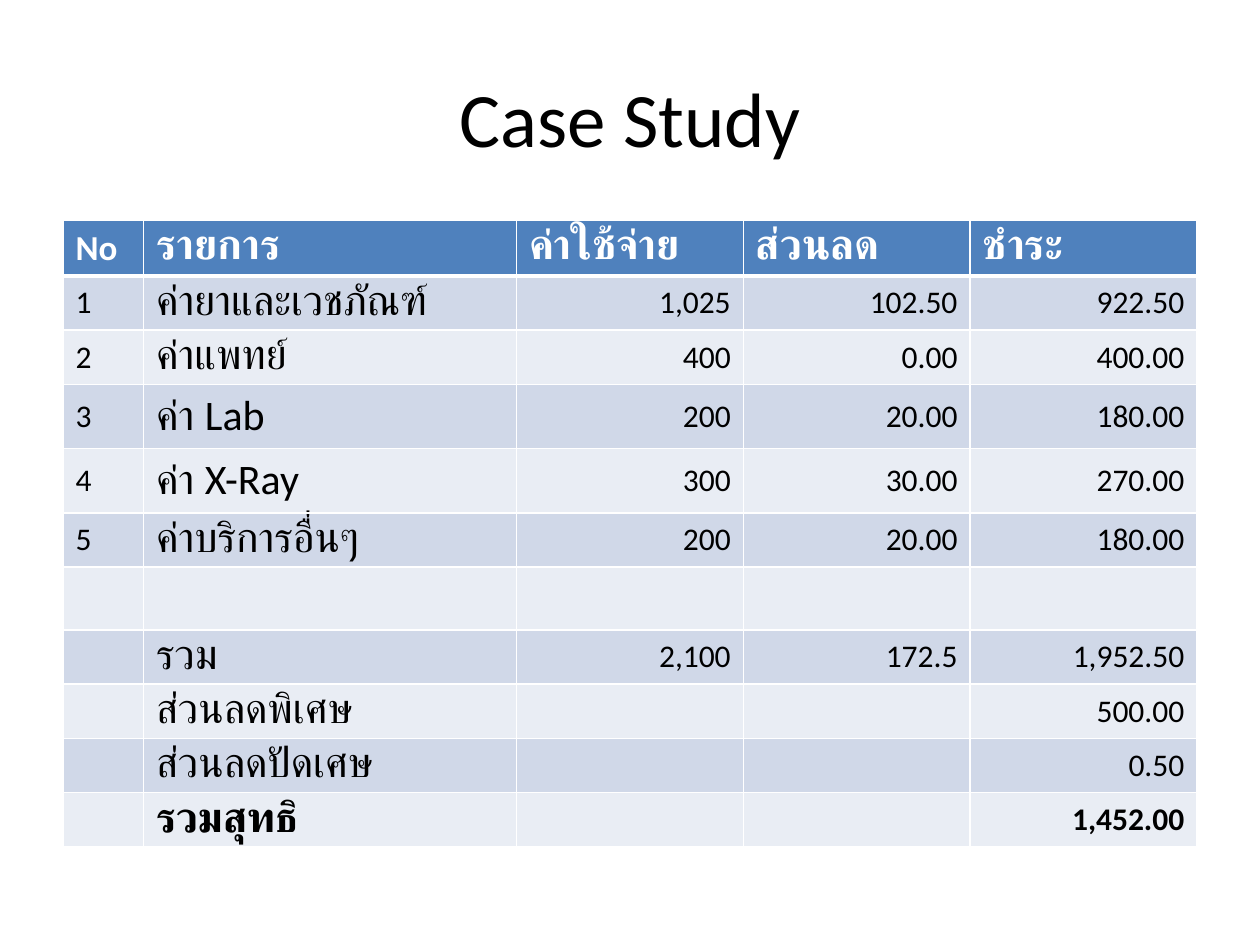
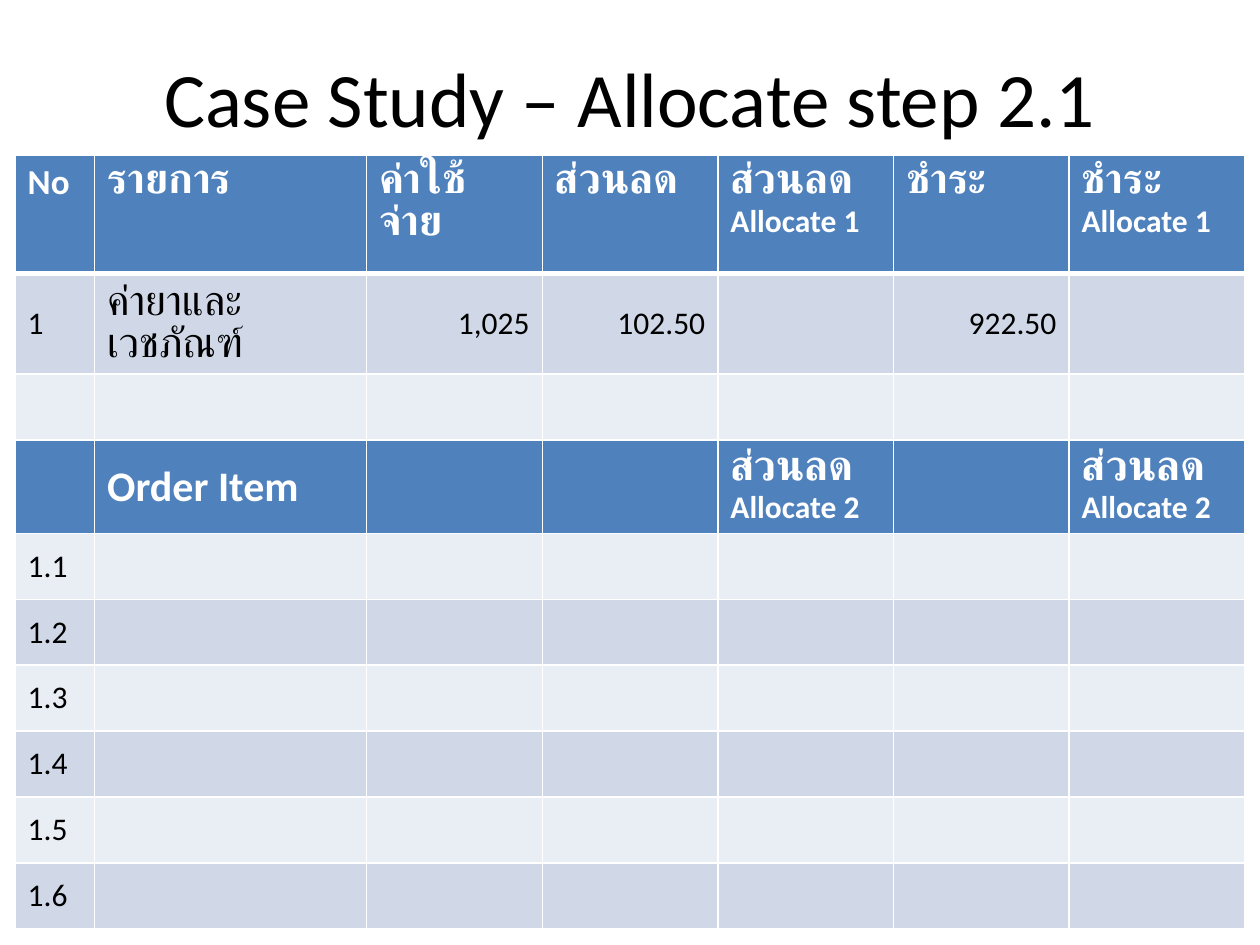
from dataclasses import dataclass

from lxml.etree import SubElement
from pptx import Presentation
from pptx.dml.color import RGBColor
from pptx.enum.lang import MSO_LANGUAGE_ID
from pptx.enum.text import MSO_ANCHOR, PP_ALIGN
from pptx.oxml.ns import qn
from pptx.presentation import Presentation as Deck
from pptx.slide import Slide
from pptx.table import _Cell as Cell
from pptx.text.text import Font
from pptx.util import Inches, Pt

FONT = "Calibri"
BLACK = RGBColor(0x00, 0x00, 0x00)
WHITE = RGBColor(0xFF, 0xFF, 0xFF)
HEADER_BLUE = RGBColor(0x4F, 0x81, 0xBD)
BAND_DARK = RGBColor(0xD0, 0xD8, 0xE8)
BAND_LIGHT = RGBColor(0xE9, 0xED, 0xF4)
THIN, THICK = Pt(1), Pt(3)


@dataclass(frozen=True)
class TableRow:
    """One table row: its texts, height in inches and emphasis."""

    texts: tuple[str, ...]
    height: float
    header: bool = False
    bold: bool = False


@dataclass(frozen=True)
class TablePage:
    """A titled page with one table; lengths are in inches."""

    title: str
    title_height: float
    left: float
    top: float
    widths: tuple[float, ...]
    rows: tuple[TableRow, ...]


EXPENSE_HEIGHT = 0.43
MIXED_HEIGHT = 0.51
EXPENSES = TablePage(
    title="Case Study",
    title_height=1.25,
    left=0.5,
    top=1.75,
    widths=(0.64, 2.96) + (1.8,) * 3,
    rows=(
        TableRow(("No", "รายการ", "ค่าใช้จ่าย", "ส่วนลด", "ชำระ"), EXPENSE_HEIGHT, header=True),
        TableRow(("1", "ค่ายาและเวชภัณฑ์", "1,025", "102.50", "922.50"), EXPENSE_HEIGHT),
        TableRow(("2", "ค่าแพทย์", "400", "0.00", "400.00"), EXPENSE_HEIGHT),
        TableRow(("3", "ค่า Lab", "200", "20.00", "180.00"), MIXED_HEIGHT),
        TableRow(("4", "ค่า X-Ray", "300", "30.00", "270.00"), MIXED_HEIGHT),
        TableRow(("5", "ค่าบริการอื่นๆ", "200", "20.00", "180.00"), EXPENSE_HEIGHT),
        TableRow(("",) * 5, 0.5),
        TableRow(("", "รวม", "2,100", "172.5", "1,952.50"), EXPENSE_HEIGHT),
        TableRow(("", "ส่วนลดพิเศษ", "", "", "500.00"), EXPENSE_HEIGHT),
        TableRow(("", "ส่วนลดปัดเศษ", "", "", "0.50"), EXPENSE_HEIGHT),
        TableRow(("", "รวมสุทธิ", "", "", "1,452.00"), EXPENSE_HEIGHT, bold=True),
    ),
)

ITEM_HEIGHT = 3.14 / 6
ALLOCATION = TablePage(
    title="Case Study – Allocate step 2.1",
    title_height=0.93,
    left=0.12,
    top=1.23,
    widths=(0.63, 2.16) + (6.97 / 5,) * 5,
    rows=(
        TableRow(
            ("No", "รายการ", "ค่าใช้จ่าย", "ส่วนลด", "ส่วนลด\nAllocate 1", "ชำระ", "ชำระ\nAllocate 1"),
            0.94,
            header=True,
        ),
        TableRow(("1", "ค่ายาและเวชภัณฑ์", "1,025", "102.50", "", "922.50", ""), 0.76),
        TableRow(("",) * 7, ITEM_HEIGHT),
        TableRow(
            ("", "Order Item", "", "", "ส่วนลด\nAllocate 2", "", "ส่วนลด\nAllocate 2"),
            0.74,
            header=True,
        ),
        *(TableRow((f"1.{item}",) + ("",) * 6, ITEM_HEIGHT) for item in range(1, 7)),
    ),
)


def style_font(font: Font, size: int, color: RGBColor, bold: bool = False) -> None:
    """Apply the deck's typeface with a size, colour and weight."""
    font.name = FONT
    font.size = Pt(size)
    font.color.rgb = color
    font.bold = bold


def has_thai(text: str) -> bool:
    """Tell whether a text holds Thai letters."""
    return any("ก" <= letter <= "๛" for letter in text)


def text_size(text: str) -> int:
    """Return the point size for a line of table text."""
    if text == "No":
        return 20
    return 18 if text[0].isdigit() or text.startswith("Allocate") else 24


def set_borders(cell: Cell, top: int, bottom: int) -> None:
    """Draw white borders with the given top and bottom widths."""
    properties = cell._tc.get_or_add_tcPr()
    for side, width in (("L", THIN), ("R", THIN), ("T", top), ("B", bottom)):
        line = SubElement(properties, qn(f"a:ln{side}"), w=str(width))
        fill = SubElement(line, qn("a:solidFill"))
        SubElement(fill, qn("a:srgbClr"), val=str(WHITE))


def fill_cell(cell: Cell, text: str, row: TableRow, row_index: int, column_index: int) -> None:
    """Write and format one table cell."""
    set_borders(cell, THICK if row_index == 1 else THIN, THICK if row_index == 0 else THIN)
    band = BAND_DARK if row_index % 2 else BAND_LIGHT
    cell.fill.solid()
    cell.fill.fore_color.rgb = HEADER_BLUE if row.header else band
    cell.vertical_anchor = MSO_ANCHOR.MIDDLE if row_index else MSO_ANCHOR.TOP
    if has_thai(text):
        cell.margin_top = Inches(0 if row_index else 0.04)
        cell.margin_bottom = 0
    cell.text_frame.text = text
    for para in cell.text_frame.paragraphs:
        if column_index > 1 and not row.header:
            para.alignment = PP_ALIGN.RIGHT
        for span in para.runs:
            color = WHITE if row.header else BLACK
            style_font(span.font, text_size(span.text), color, row.header or row.bold)
            if has_thai(span.text):
                span.font.language_id = MSO_LANGUAGE_ID.THAI


def add_title(page: Slide, text: str, height: float) -> None:
    """Add the centred page title."""
    box = page.shapes.add_textbox(Inches(0.5), Inches(0.3), Inches(9), Inches(height))
    frame = box.text_frame
    frame.word_wrap = True
    frame.vertical_anchor = MSO_ANCHOR.MIDDLE
    frame.text = text
    para = frame.paragraphs[0]
    para.alignment = PP_ALIGN.CENTER
    style_font(para.runs[0].font, 44, BLACK)


def add_page(deck: Deck, content: TablePage) -> None:
    """Add a page with its title and table."""
    page = deck.slides.add_slide(deck.slide_layouts[6])
    add_title(page, content.title, content.title_height)
    table = page.shapes.add_table(
        len(content.rows),
        len(content.widths),
        Inches(content.left),
        Inches(content.top),
        Inches(sum(content.widths)),
        Inches(sum(row.height for row in content.rows)),
    ).table
    for column, width in zip(table.columns, content.widths):
        column.width = Inches(width)
    for row_index, row in enumerate(content.rows):
        table.rows[row_index].height = Inches(row.height)
        for column_index, text in enumerate(row.texts):
            fill_cell(table.cell(row_index, column_index), text, row, row_index, column_index)


def main() -> None:
    """Build and save the deck."""
    deck = Presentation()
    deck.slide_width = Inches(10)
    deck.slide_height = Inches(7.5)
    for content in (EXPENSES, ALLOCATION):
        add_page(deck, content)
    deck.save("out.pptx")


if __name__ == "__main__":
    main()
